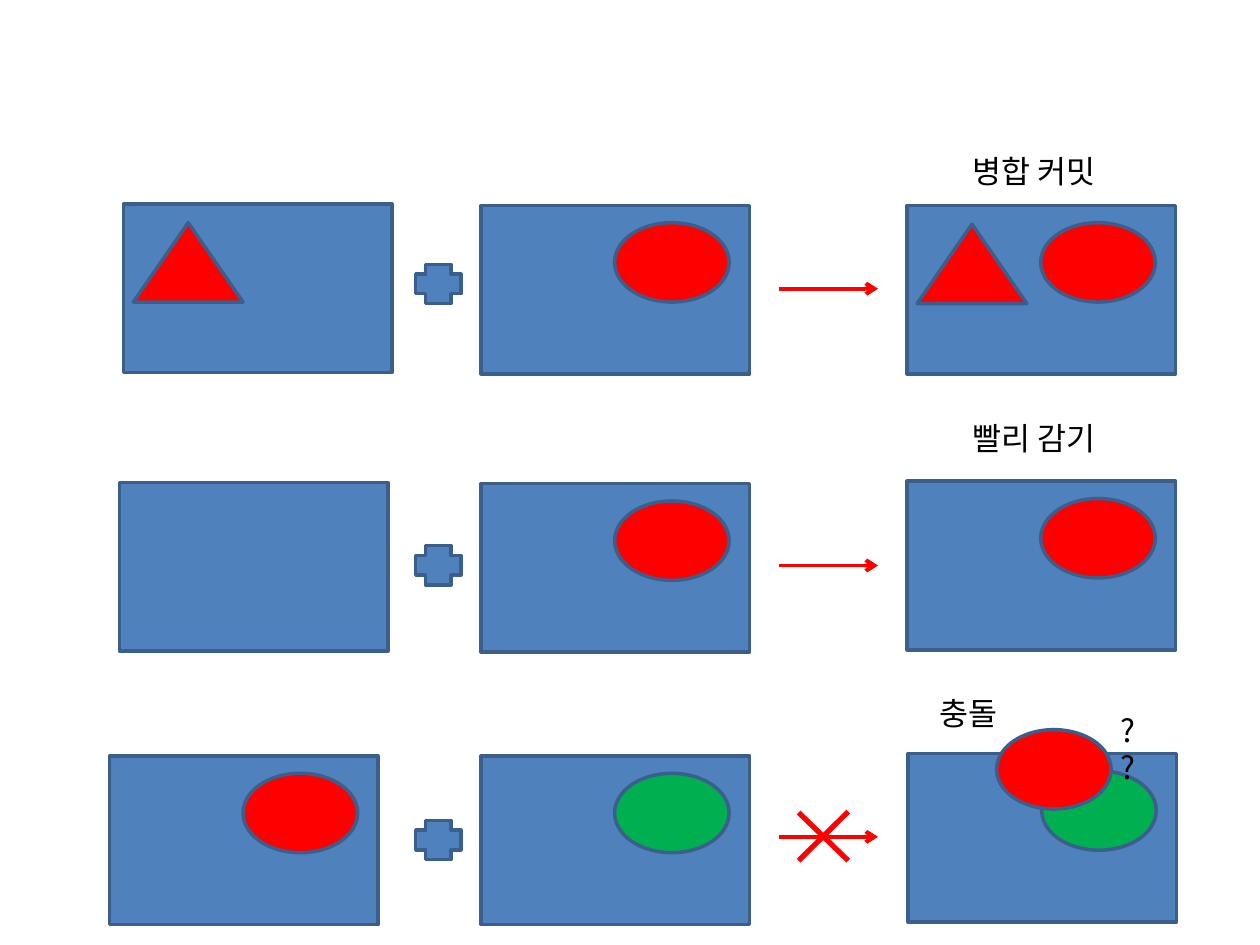
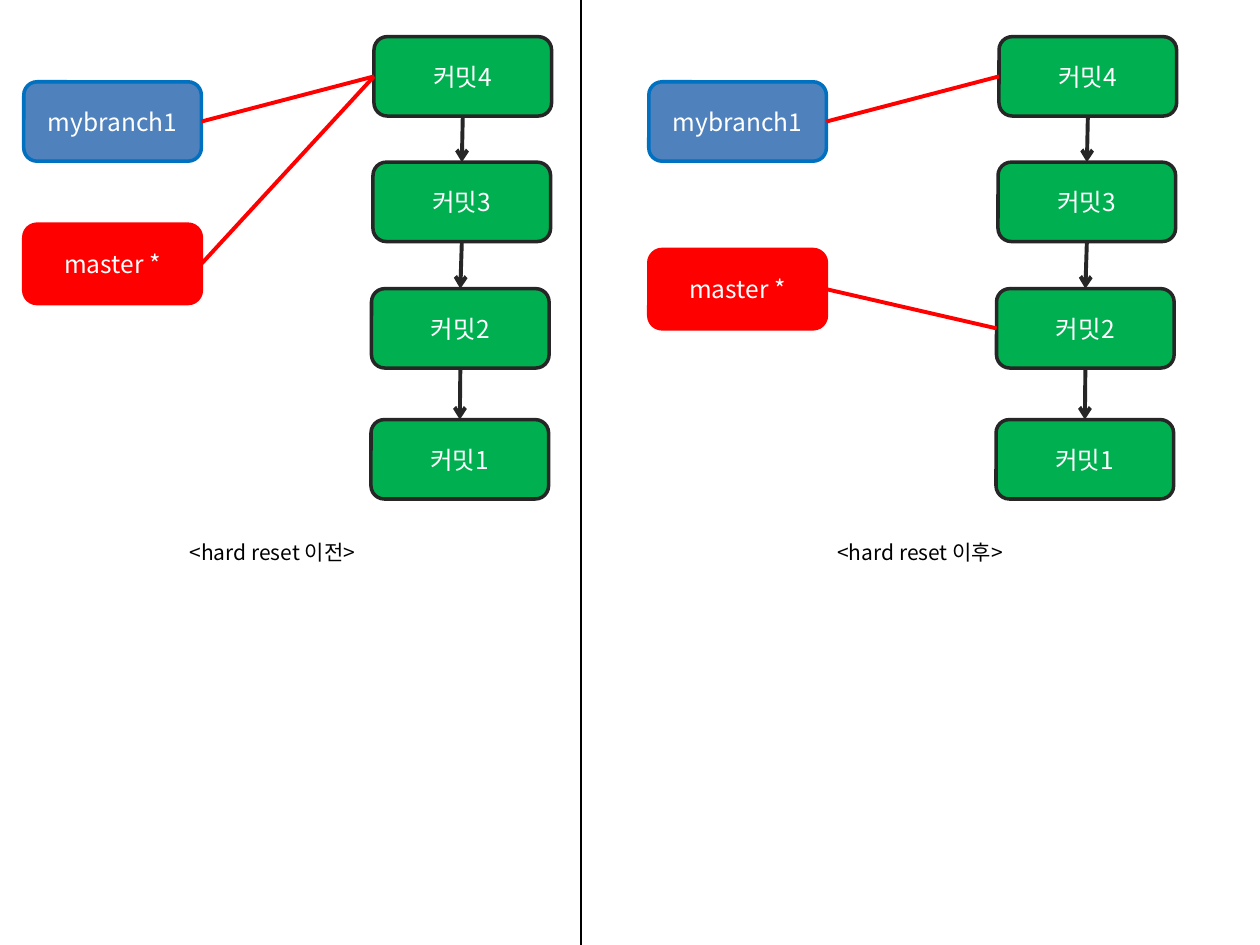
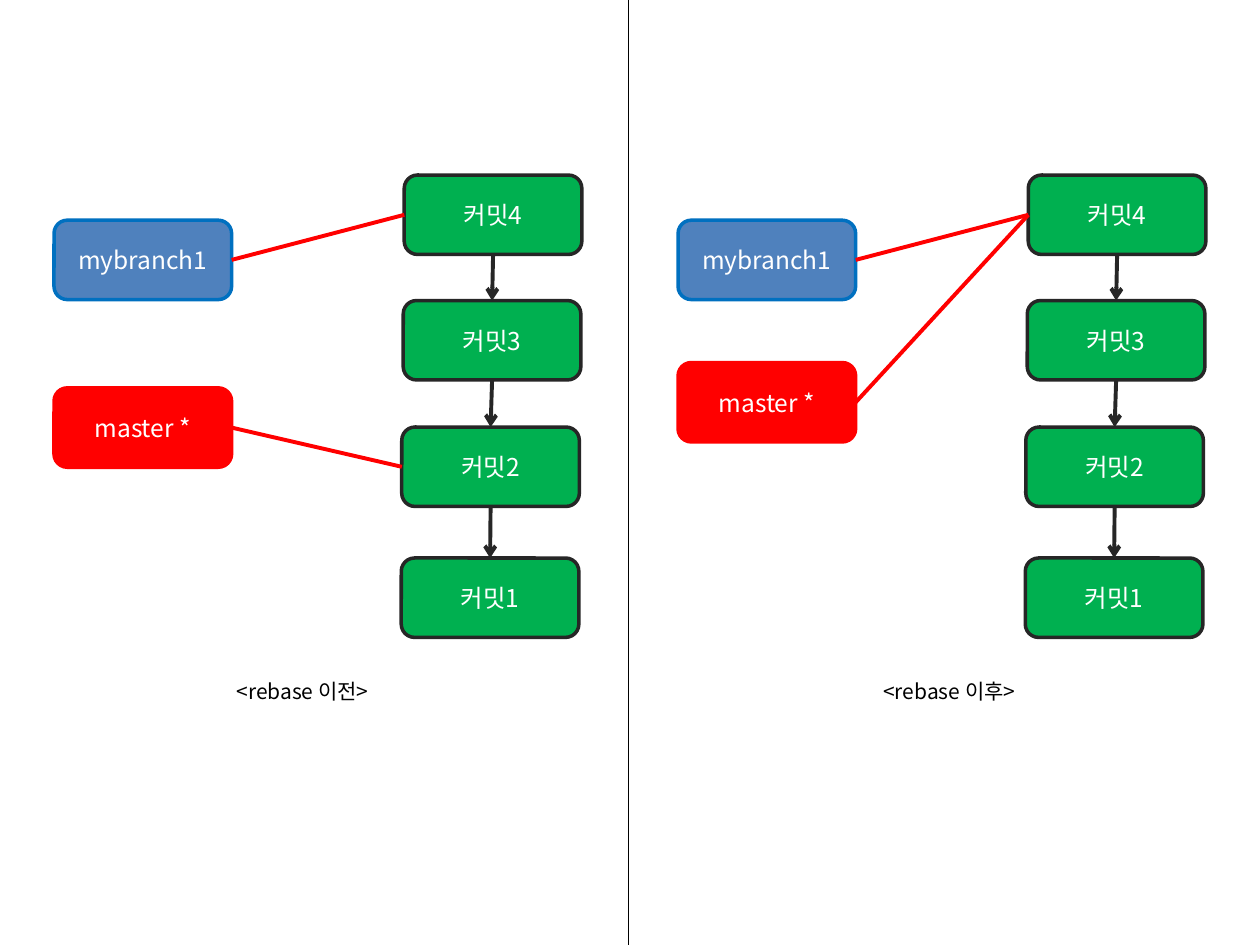
from lxml import etree
from pptx import Presentation
from pptx.dml.color import RGBColor
from pptx.enum.shapes import MSO_CONNECTOR, MSO_SHAPE
from pptx.enum.text import MSO_ANCHOR, MSO_AUTO_SIZE, PP_ALIGN
from pptx.oxml.ns import qn
from pptx.util import Cm, Pt

RECTANGLE = MSO_SHAPE.RECTANGLE
ROUNDED = MSO_SHAPE.ROUNDED_RECTANGLE
TRIANGLE = MSO_SHAPE.ISOSCELES_TRIANGLE
ELLIPSE = MSO_SHAPE.OVAL
PLUS = MSO_SHAPE.CROSS
STRAIGHT = MSO_CONNECTOR.STRAIGHT
CENTER = PP_ALIGN.CENTER
LEFT = PP_ALIGN.LEFT
MIDDLE = MSO_ANCHOR.MIDDLE
FIT_SHAPE = MSO_AUTO_SIZE.SHAPE_TO_FIT_TEXT

RED = RGBColor(0xFF, 0x00, 0x00)
GREEN = RGBColor(0x00, 0xB0, 0x50)
BLUE = RGBColor(0x4F, 0x81, 0xBD)
OUTLINE_BLUE = RGBColor(0x3A, 0x5F, 0x8C)
BRANCH_BLUE = RGBColor(0x00, 0x70, 0xC0)
CHARCOAL = RGBColor(0x26, 0x26, 0x26)
BLACK = RGBColor(0x00, 0x00, 0x00)
WHITE = RGBColor(0xFF, 0xFF, 0xFF)

FONT = "Noto Sans CJK KR"
PAGE_WIDTH, PAGE_HEIGHT = 25.4, 19.05
TOP_SITE, LEFT_SITE, BOTTOM_SITE, RIGHT_SITE = range(4)

PANEL_SIZE = (5.41, 3.4)
MARK_SIZES = {ELLIPSE: (2.31, 1.6), TRIANGLE: (2.21, 1.6)}
CORNER_ELLIPSE = (ELLIPSE, 2.69, 0.35)
CORNER_TRIANGLE = (TRIANGLE, 0.2, 0.38)
NODE_SIZE = (3.58, 1.6)
COMMIT_OFFSETS = {4: (7.06, 0), 3: (7.04, 2.53), 2: (7.01, 5.08), 1: (7, 7.72)}
MASTER_TOPS = {4: 3.78, 2: 4.29}


class Deck:
    def __init__(self):
        self.presentation = Presentation()
        self.presentation.slide_width = Cm(PAGE_WIDTH)
        self.presentation.slide_height = Cm(PAGE_HEIGHT)
        self.page = None

    def add_page(self):
        self.page = self.presentation.slides.add_slide(
            self.presentation.slide_layouts[6])

    def fill_text(self, frame, text, size, color, alignment):
        paragraph = frame.paragraphs[0]
        paragraph.text = text
        paragraph.alignment = alignment
        font = paragraph.font
        font.name = FONT
        font.size = Pt(size)
        font.color.rgb = color
        properties = paragraph._p.pPr.find(qn("a:defRPr"))
        etree.SubElement(properties, qn("a:ea")).set("typeface", FONT)

    def shape(self, kind, left, top, size, fill, outline=OUTLINE_BLUE):
        shape = self.page.shapes.add_shape(kind, Cm(left), Cm(top), *map(Cm, size))
        shape.shadow.inherit = False
        shape.fill.solid()
        shape.fill.fore_color.rgb = fill
        shape.line.color.rgb = outline
        shape.line.width = Pt(2)
        return shape

    def node(self, text, left, top, fill, outline):
        node = self.shape(ROUNDED, left, top, NODE_SIZE, fill, outline)
        node.text_frame.vertical_anchor = MIDDLE
        self.fill_text(node.text_frame, text, 14, WHITE, CENTER)
        return node

    def text(self, text, left, top, width, height, size, alignment=LEFT, wrap=False):
        box = self.page.shapes.add_textbox(Cm(left), Cm(top), Cm(width), Cm(height))
        box.text_frame.word_wrap = wrap
        box.text_frame.auto_size = FIT_SHAPE
        self.fill_text(box.text_frame, text, size, BLACK, alignment)

    def line(self, start, end, color, weight=2.25, arrow=False):
        line = self.page.shapes.add_connector(STRAIGHT, *map(Cm, (*start, *end)))
        line.line.color.rgb = color
        line.line.width = Pt(weight)
        if arrow:
            tail = etree.SubElement(line.line._get_or_add_ln(), qn("a:tailEnd"))
            tail.set("type", "arrow")
        etree.SubElement(line._element.spPr, qn("a:effectLst"))
        return line

    def link(self, source, source_site, target, target_site, color, arrow=False):
        line = self.line((0, 0), (0, 0), color, arrow=arrow)
        line.begin_connect(source, source_site)
        line.end_connect(target, target_site)

    def panel(self, left, top, marks):
        self.shape(RECTANGLE, left, top, PANEL_SIZE, BLUE)
        for (kind, right_shift, down_shift), color in marks:
            self.shape(kind, left + right_shift, top + down_shift,
                       MARK_SIZES[kind], color)

    def merge_row(self, panels, plus_top, arrow_top):
        for left, top, marks in panels:
            self.panel(left, top, marks)
        self.shape(PLUS, 8.38, plus_top, (0.91, 0.79), BLUE)
        self.line((15.7, arrow_top), (17.7, arrow_top), RED, arrow=True)

    def history(self, left, top, master_commit, caption, caption_shift):
        branch = self.node("mybranch1", left, top + 0.91, BLUE, BRANCH_BLUE)
        master = self.node("master *", left, top + MASTER_TOPS[master_commit], RED, RED)
        commits = {
            number: self.node(f"커밋{number}", left + right_shift, top + down_shift,
                              GREEN, CHARCOAL)
            for number, (right_shift, down_shift) in COMMIT_OFFSETS.items()
        }
        for number in (4, 3, 2):
            self.link(commits[number], BOTTOM_SITE, commits[number - 1], TOP_SITE,
                      CHARCOAL, arrow=True)
        self.link(branch, RIGHT_SITE, commits[4], LEFT_SITE, RED)
        self.link(master, RIGHT_SITE, commits[master_commit], LEFT_SITE, RED)
        self.text(caption, left + caption_shift, top + 10.02, 5.2, 0.77, 12, CENTER, True)


def merge_page(deck):
    deck.add_page()
    triangle = (CORNER_TRIANGLE, RED)
    ellipse = (CORNER_ELLIPSE, RED)
    rival = (CORNER_ELLIPSE, GREEN)
    raised = ((ELLIPSE, 1.78, -0.48), RED)
    rows = [
        ([(2.49, 4.11, [triangle]), (9.7, 4.14, [ellipse]),
          (18.29, 4.14, [triangle, ellipse])], 5.33, 5.82),
        ([(2.41, 9.73, []), (9.7, 9.75, [ellipse]),
          (18.29, 9.7, [ellipse])], 11, 11.4),
        ([(2.21, 15.24, [ellipse]), (9.7, 15.24, [rival]),
          (18.31, 15.19, [rival, raised])], 16.54, 16.87),
    ]
    for row in rows:
        deck.merge_row(*row)
    deck.line((16.1, 16.38), (17.1, 17.35), RED, 3)
    deck.line((17.1, 16.36), (16.1, 17.35), RED, 3)
    labels = [
        ("병합 커밋", 19.35, 2.95, 3.3),
        ("빨리 감기", 19.35, 8.33, 3.3),
        ("충돌", 18.69, 13.87, 1.8),
        ("??", 22.33, 14.2, 1.09),
    ]
    for text, left, top, width in labels:
        deck.text(text, left, top, width, 1.02, 18)


def comparison_page(deck, command, top, divider, before, after):
    deck.add_page()
    deck.line((divider, 0), (divider, PAGE_HEIGHT), BLACK, 0.75)
    for (left, master_commit), moment, caption_shift in (
            (before, "이전", 2.41), (after, "이후", 2.87)):
        deck.history(left, top, master_commit, f"<{command} {moment}>", caption_shift)


deck = Deck()
merge_page(deck)
comparison_page(deck, "hard reset", 0.74, 11.71, (0.48, 4), (13.08, 2))
comparison_page(deck, "rebase", 3.53, 12.67, (1.09, 2), (13.67, 4))
deck.presentation.save("out.pptx")
